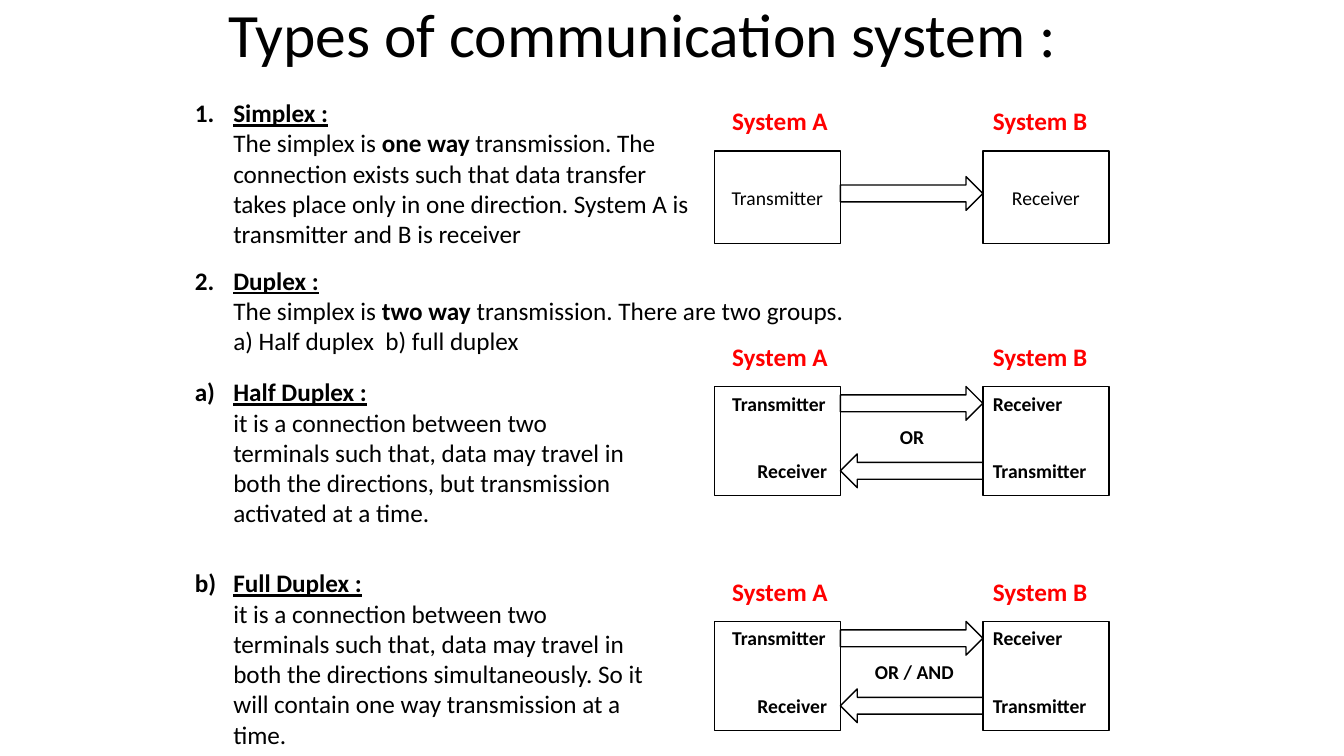
import pptx
import pptx.util
import pptx.dml.color
import pptx.enum.shapes
import pptx.enum.text
import lxml.etree
from pptx.util import Cm

COLORS = {"text": "000000", "system": "FF0000", "line": "000000"}
FONT = "Calibri"
TEXT_LEFT = 4.66
INDENT = 0.97
BOX_A, BOX_B, BOX_WIDTH = 18.0, 24.77, 3.18
ARROW_LEFT = BOX_A + BOX_WIDTH
ARROW_WIDTH = BOX_B - ARROW_LEFT
ARROW_HEIGHT = 0.85
RETURN_OFFSET = 2 * ARROW_HEIGHT
BOX_OFFSET = 1.27


def rgb(name):
    return pptx.dml.color.RGBColor.from_string(COLORS[name])


def format_run(run, size, color="text", bold=False, underline=None):
    run.font.name = FONT
    run.font.size = pptx.util.Pt(size)
    run.font.color.rgb = rgb(color)
    run.font.bold = bold
    run.font.underline = underline


def add_text_box(shapes, left, top, width, height):
    text_box = shapes.add_textbox(Cm(left), Cm(top), Cm(width), Cm(height))
    text_box.text_frame.word_wrap = True
    return text_box.text_frame


def add_label(shapes, text, left, top, width, size=14, color="text"):
    frame = add_text_box(shapes, left, top, width, 0.86)
    frame.text = text
    format_run(frame.paragraphs[0].runs[0], size, color, bold=True)


def add_outline(shapes, kind, left, top, width, height):
    """Add an unfilled preset shape with a thin line."""
    shape = shapes.add_shape(kind, Cm(left), Cm(top), Cm(width), Cm(height))
    shape.shadow.inherit = False
    shape.fill.background()
    shape.line.color.rgb = rgb("line")
    shape.line.width = pptx.util.Pt(1)
    return shape


def add_box(shapes, left, top, height, text=""):
    kind = pptx.enum.shapes.MSO_SHAPE.RECTANGLE
    frame = add_outline(shapes, kind, left, top, BOX_WIDTH, height).text_frame
    if text:
        frame.text = text
        frame.vertical_anchor = pptx.enum.text.MSO_ANCHOR.MIDDLE
        frame.paragraphs[0].alignment = pptx.enum.text.PP_ALIGN.CENTER
        format_run(frame.paragraphs[0].runs[0], 14)


def add_arrow(shapes, top, kind=pptx.enum.shapes.MSO_SHAPE.RIGHT_ARROW):
    add_outline(shapes, kind, ARROW_LEFT, top, ARROW_WIDTH, ARROW_HEIGHT)


def add_systems(slide, top, box_height, texts=("", "")):
    """Add a group with two headed boxes and return its shapes."""
    shapes = slide.shapes.add_group_shape().shapes
    add_label(shapes, "System A", 18.2, top, 2.96, 18, "system")
    add_label(shapes, "System B", BOX_B, top, 2.96, 18, "system")
    for left, text in zip((BOX_A, BOX_B), texts):
        add_box(shapes, left, top + BOX_OFFSET, box_height, text)
    return shapes


def add_simplex_diagram(slide, top):
    shapes = add_systems(slide, top, 2.33, ("Transmitter", "Receiver"))
    add_arrow(shapes, top + BOX_OFFSET + 0.64)


def add_duplex_diagram(slide, top, relation, relation_left):
    shapes = add_systems(slide, top, 2.75)
    forward = top + BOX_OFFSET
    back = forward + RETURN_OFFSET
    add_arrow(shapes, forward)
    add_arrow(shapes, back, pptx.enum.shapes.MSO_SHAPE.LEFT_ARROW)
    add_label(shapes, "Transmitter", 18.2, forward, 3.81)
    add_label(shapes, "Receiver", 18.84, back, 3.81)
    add_label(shapes, "Receiver", BOX_B, forward, 3.81)
    add_label(shapes, "Transmitter", BOX_B, back, 3.81)
    add_label(shapes, relation, relation_left, forward + ARROW_HEIGHT, 2.75)


def set_indent(paragraph, hanging=0):
    properties = paragraph._p.get_or_add_pPr()
    properties.set("marL", str(Cm(INDENT)))
    properties.set("indent", str(-Cm(hanging)))
    return properties


def add_topic(slide, top, width, height, numbering, start, heading, lines):
    """Add a numbered heading and its lines; each line is a list of (text, bold)."""
    frame = add_text_box(slide.shapes, TEXT_LEFT, top, width, height)
    paragraph = frame.paragraphs[0]
    properties = set_indent(paragraph, INDENT)
    number = lxml.etree.SubElement(properties, pptx.oxml.ns.qn("a:buAutoNum"))
    number.set("type", numbering)
    number.set("startAt", str(start))
    run = paragraph.add_run()
    run.text = heading
    format_run(run, 18, bold=True, underline=True)
    for line in lines:
        paragraph = frame.add_paragraph()
        set_indent(paragraph)
        for text, bold in line:
            run = paragraph.add_run()
            run.text = text
            format_run(run, 18, bold=bold)


def add_title(slide, text):
    frame = add_text_box(slide.shapes, 5.5, -0.64, 22.86, 3.18)
    frame.vertical_anchor = pptx.enum.text.MSO_ANCHOR.MIDDLE
    frame.text = text
    frame.paragraphs[0].line_spacing = 0.9
    format_run(frame.paragraphs[0].runs[0], 44)


def main():
    presentation = pptx.Presentation()
    presentation.slide_width = Cm(33.87)
    presentation.slide_height = Cm(19.05)
    slide = presentation.slides.add_slide(presentation.slide_layouts[6])

    add_title(slide, "Types of communication system :")
    add_topic(slide, 2.33, 13.34, 4.87, "arabicPeriod", 1, "Simplex :", [
        [("The simplex is ", False), ("one way ", True),
         ("transmission. The connection exists such that data transfer takes "
          "place only in one direction. System A is transmitter and B is "
          "receiver", False)]])
    add_topic(slide, 6.56, 22.65, 3.33, "arabicPeriod", 2, "Duplex :", [
        [("The simplex is ", False), ("two way ", True),
         ("transmission. There are two groups.", False)],
        [("a) Half duplex  b) full duplex", False)]])
    add_topic(slide, 9.37, 11.85, 4.11, "alphaLcParenR", 1, "Half Duplex :", [
        [("it is a connection between two terminals such that, data may travel "
          "in both the directions, but transmission activated at a time.",
          False)]])
    add_topic(slide, 14.18, 11.85, 4.87, "alphaLcParenR", 2, "Full Duplex :", [
        [("it is a connection between two terminals such that, data may travel "
          "in both the directions simultaneously. So it will contain one way "
          "transmission at a time.", False)]])

    add_simplex_diagram(slide, 2.54)
    add_duplex_diagram(slide, 8.47, "OR", 22.43)
    add_duplex_diagram(slide, 14.39, "OR / AND", 21.8)
    presentation.save("out.pptx")


if __name__ == "__main__":
    main()
